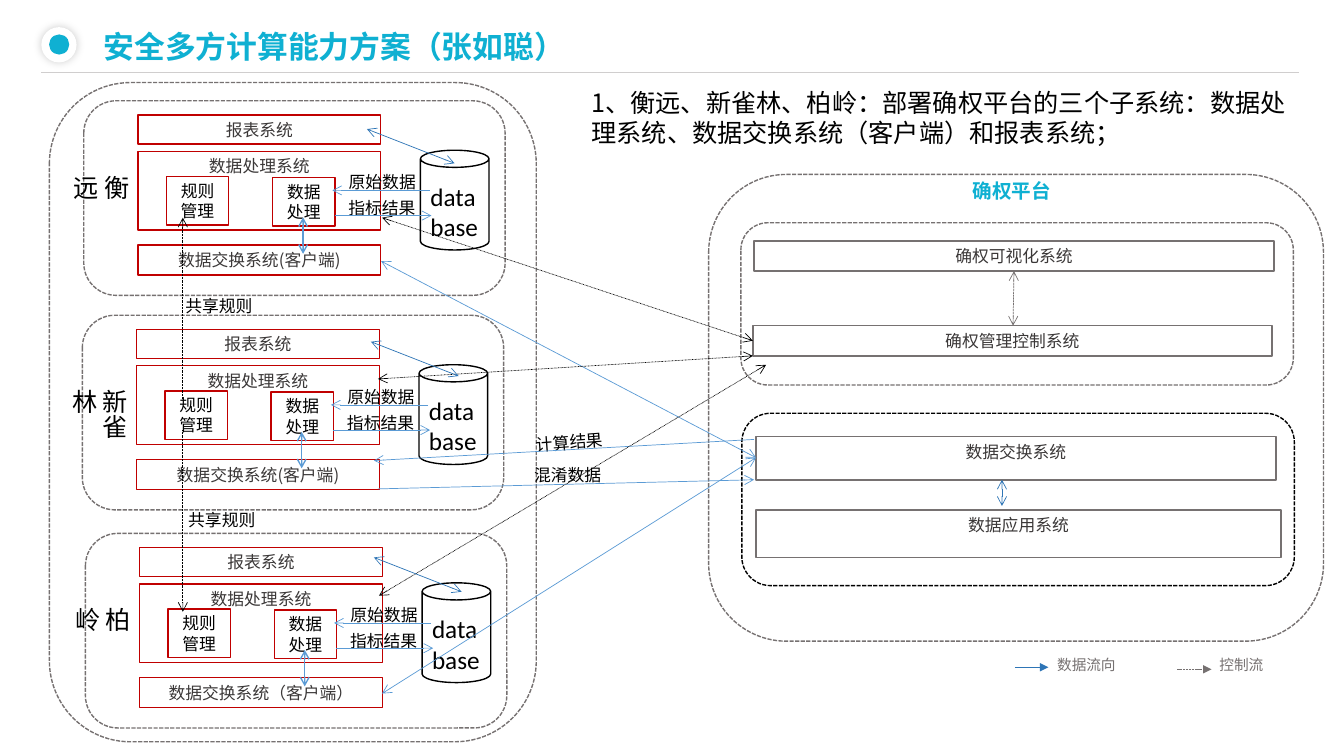
from dataclasses import dataclass

from lxml.etree import SubElement
from pptx import Presentation
from pptx.dml.color import RGBColor
from pptx.enum.dml import MSO_LINE
from pptx.enum.shapes import MSO_CONNECTOR, MSO_SHAPE
from pptx.enum.text import MSO_ANCHOR, PP_ALIGN
from pptx.oxml.ns import qn
from pptx.util import Pt

NOTO, CALIBRI = "Noto Sans CJK SC", "Calibri"
CYAN, RED, BLACK, WHITE = "0FB0D2", "C00000", "000000", "FFFFFF"
DARK, GREY, RULE, BLUE, SKY = "3B3838", "767171", "D0CECE", "2E75B6", "5B9BD5"
RECT, ROUND, OVAL, CAN = (MSO_SHAPE.RECTANGLE, MSO_SHAPE.ROUNDED_RECTANGLE,
                          MSO_SHAPE.OVAL, MSO_SHAPE.CAN)
DASH, DOT = MSO_LINE.SQUARE_DOT, MSO_LINE.ROUND_DOT


@dataclass
class Box:
    x: float
    y: float
    w: float
    h: float
    text: str = ""
    line: str = ""
    color: str = DARK
    fill: str = ""
    kind: MSO_SHAPE = RECT
    dash: MSO_LINE | None = None
    anchor: MSO_ANCHOR = MSO_ANCHOR.MIDDLE


@dataclass
class Label:
    x: float
    y: float
    w: float
    h: float
    text: str
    size: float = 12
    color: str = BLACK
    font: str = NOTO
    bold: bool = False
    align: PP_ALIGN = PP_ALIGN.LEFT
    rotation: float = 0
    vertical: bool = False
    spacing: float = 0


@dataclass
class Arrow:
    x1: float
    y1: float
    x2: float
    y2: float
    color: str
    head: str = ""
    tail: str = ""
    dash: MSO_LINE | None = None
    width: float = 0.5


@dataclass
class Company:
    x: float
    y: float
    name: str
    name_h: float
    client: str = "数据交换系统(客户端)"


def rgb(value: str) -> RGBColor:
    return RGBColor.from_string(value)


def add_run(p, text: str, size: float, color: str, font: str, bold: bool = False) -> None:
    r = p.add_run()
    r.text = text
    r.font.size, r.font.name, r.font.bold = Pt(size), font, bold
    r.font.color.rgb = rgb(color)
    SubElement(r.font._element, qn("a:ea")).set("typeface", font)


def draw_box(s, b: Box, dx: float = 0, dy: float = 0):
    sp = s.shapes.add_shape(b.kind, Pt(b.x + dx), Pt(b.y + dy), Pt(b.w), Pt(b.h))
    sp.shadow.inherit = False
    if b.fill:
        sp.fill.solid()
        sp.fill.fore_color.rgb = rgb(b.fill)
    else:
        sp.fill.background()
    if b.line:
        sp.line.color.rgb = rgb(b.line)
        sp.line.width = Pt(1)
        sp.line.dash_style = b.dash
    else:
        sp.line.fill.background()
    if b.text:
        tf = sp.text_frame
        tf.word_wrap, tf.vertical_anchor = True, b.anchor
        p = tf.paragraphs[0]
        p.alignment = PP_ALIGN.CENTER
        add_run(p, b.text, 12, b.color, NOTO)
    return sp


def draw_label(s, t: Label, dx: float = 0, dy: float = 0) -> None:
    sp = s.shapes.add_textbox(Pt(t.x + dx), Pt(t.y + dy), Pt(t.w), Pt(t.h))
    sp.rotation = t.rotation
    tf = sp.text_frame
    tf.word_wrap = True
    if t.vertical:
        tf._txBody.bodyPr.set("vert", "eaVert")
    p = tf.paragraphs[0]
    p.alignment = t.align
    if t.spacing:
        p.line_spacing = Pt(t.spacing)
    add_run(p, t.text, t.size, t.color, t.font, t.bold)


def draw_arrow(s, a: Arrow, dx: float = 0, dy: float = 0) -> None:
    c = s.shapes.add_connector(MSO_CONNECTOR.STRAIGHT, Pt(a.x1 + dx), Pt(a.y1 + dy),
                               Pt(a.x2 + dx), Pt(a.y2 + dy))
    c.line.color.rgb = rgb(a.color)
    c.line.width = Pt(a.width)
    c.line.dash_style = a.dash
    for tag, end in (("a:headEnd", a.head), ("a:tailEnd", a.tail)):
        if end:
            SubElement(c.line._get_or_add_ln(), qn(tag)).set("type", end)
    SubElement(c._element.spPr, qn("a:effectLst"))


def draw_badge(s) -> None:
    sp = draw_box(s, Box(29.5, 19.4, 25.2, 25.2, fill=WHITE, kind=OVAL))
    effects = sp._element.spPr.find(qn("a:effectLst"))
    shadow = SubElement(effects, qn("a:outerShdw"), blurRad=str(Pt(6)), dist="0", dir="5400000")
    color = SubElement(shadow, qn("a:srgbClr"), val=BLACK)
    SubElement(color, qn("a:alpha"), val="19000")
    draw_box(s, Box(35.1, 24.6, 14.4, 14.4, fill=CYAN, kind=OVAL))


def draw_company(s, c: Company) -> None:
    parts = [
        Box(38.7, 36, 173.5, 56.2, "数据处理系统", RED, anchor=MSO_ANCHOR.TOP),
        Box(0, 0, 301, 139, line=GREY, kind=ROUND, dash=DASH),
        Box(38.7, 103, 173.5, 21.6, c.client, RED),
        Box(59, 54, 44.6, 34.6, "规则管理", RED, BLACK),
        Box(134.9, 54.8, 44.6, 34.6, "数据处理", RED, BLACK),
        Box(38.7, 10, 173.5, 20.9, "报表系统", RED),
        Box(240.5, 35.3, 49, 71.3, line=BLACK, fill=WHITE, kind=CAN),
    ]
    labels = [
        Label(1.3, 46, 36, c.name_h, c.name, 18, font=CALIBRI, vertical=True),
        Label(240.5, 53.8, 49, 48.2, "database", 18, font=CALIBRI),
        Label(182.2, 47.3, 75.6, 20.9, "原始数据"),
        Label(179.3, 66, 75.6, 20.9, " 指标结果"),
    ]
    arrows = [
        Arrow(247, 64, 177.6, 64, SKY, tail="arrow"),
        Arrow(156.7, 83.3, 156.7, 109.3, SKY, "arrow", "arrow", width=1),
        Arrow(248.4, 82, 179.2, 82, SKY, head="arrow"),
    ]
    draw_all(s, parts + labels + arrows, c.x, c.y)


def draw_all(s, items: list, dx: float = 0, dy: float = 0) -> None:
    drawers = {Box: draw_box, Label: draw_label, Arrow: draw_arrow}
    for item in items:
        drawers[type(item)](s, item, dx, dy)


COMPANIES = [Company(59.8, 72, "衡远", 47.5), Company(58.8, 225.2, "新雀林", 67.7),
             Company(61, 381, "柏岭", 47.5, "数据交换系统（客户端）")]
PLATFORM = [
    Label(67, 8.6, 746.6, 41.8, "安全多方计算能力方案（张如聪）", 22, CYAN, bold=True, spacing=33.8),
    Arrow(29.5, 51.8, 928, 51.8, RULE),
    Box(538.6, 172.1, 371.5, 21.6, "确权可视化系统", GREY),
    Box(537.8, 232.6, 370.8, 21.6, "确权管理控制系统", GREY),
    Arrow(724.3, 193.7, 723.6, 232.6, GREY, "arrow", "arrow", DASH),
    Label(607.7, 124.6, 230.4, 24.5, "确权平台", 14, CYAN, bold=True, align=PP_ALIGN.CENTER),
    Box(506.2, 124.6, 439.2, 333.4, line=GREY, kind=ROUND, dash=DASH),
    Arrow(841, 478.1, 865.4, 478.1, GREY, tail="triangle", dash=DASH),
    Arrow(725, 476.6, 748.8, 476.6, BLUE, tail="triangle"),
    Label(864, 465.1, 89.3, 20.9, "控制流", 10.5, GREY),
    Label(748.1, 465.1, 78.5, 20.9, "数据流向", 10.5, GREY),
    Box(540, 364.3, 375.1, 33.8, "数据应用系统", GREY, anchor=MSO_ANCHOR.TOP),
    Box(540, 311.8, 371.5, 31, "数据交换系统", GREY, anchor=MSO_ANCHOR.TOP),
    Arrow(715.7, 342.7, 715.7, 361.4, BLUE, "arrow", "arrow"),
    Box(529.9, 295.2, 394.6, 123.1, line=BLACK, kind=ROUND, dash=DASH),
    Box(529.2, 159.1, 394.6, 115.9, line=GREY, kind=ROUND, dash=DASH),
    Box(35.3, 59, 347.8, 470.9, line=GREY, kind=ROUND, dash=DASH),
]
FLOWS = [
    Arrow(270, 349.2, 538.6, 342.7, SKY, tail="arrow"),
    Label(374.4, 328.3, 75.6, 21.6, "混淆数据"),
    Label(375.8, 303.8, 96.5, 21.6, "计算结果", rotation=355.7),
    Arrow(267.1, 329, 538.6, 313.9, SKY, head="arrow"),
    Arrow(272.2, 186.5, 540, 326.9, SKY, "arrow", "arrow"),
    Arrow(540, 326.9, 272.9, 495.4, SKY, "arrow", "arrow"),
    Arrow(272.9, 155.5, 537.8, 243.4, BLACK, "arrow", "arrow", DOT),
    Arrow(270, 270.7, 537.8, 254.2, BLACK, "arrow", "arrow", DOT),
    Arrow(270.7, 425.5, 547.2, 260.6, BLACK, "arrow", "arrow", DOT),
    Arrow(130.6, 155.5, 130.6, 285.1, BLACK, head="arrow", dash=DOT),
    Arrow(130.6, 307.4, 130.6, 437, BLACK, tail="arrow", dash=DOT),
    Label(125.3, 207.4, 96.5, 21.6, "共享规则"),
    Label(127.4, 360.7, 96.5, 21.6, "共享规则"),
    *(Arrow(x, y, x + 62.6, y + 24.5, BLUE, "arrow", "arrow")
      for x, y in ((262.1, 92.2), (265, 244.1), (267.1, 398.2))),
    Label(415.4, 59, 520.6, 51.1,
          "1、衡远、新雀林、柏岭：部署确权平台的三个子系统：数据处理系统、"
          "数据交换系统（客户端）和报表系统；", 18),
]


def main() -> None:
    prs = Presentation()
    prs.slide_width, prs.slide_height = Pt(960), Pt(540)
    s = prs.slides.add_slide(prs.slide_layouts[6])
    draw_badge(s)
    draw_all(s, PLATFORM)
    for company in COMPANIES:
        draw_company(s, company)
    draw_all(s, FLOWS)
    prs.save("out.pptx")


if __name__ == "__main__":
    main()
